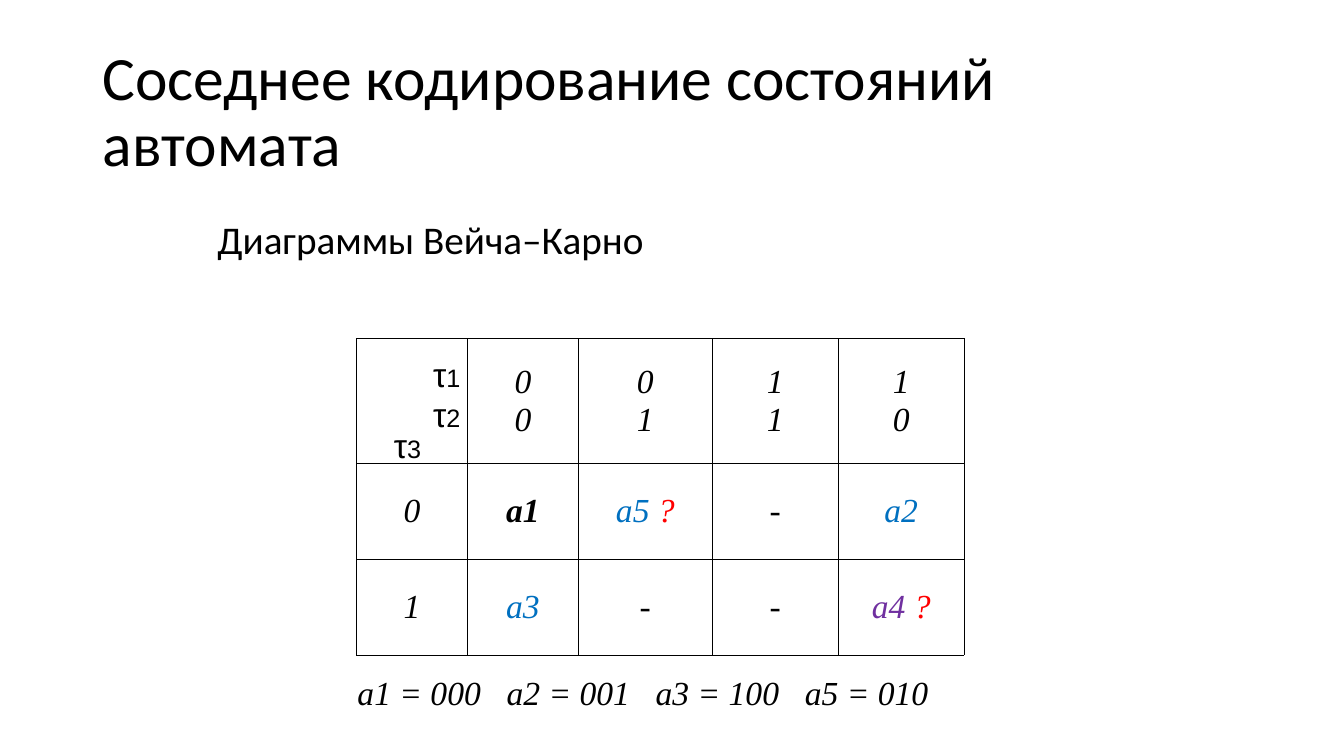
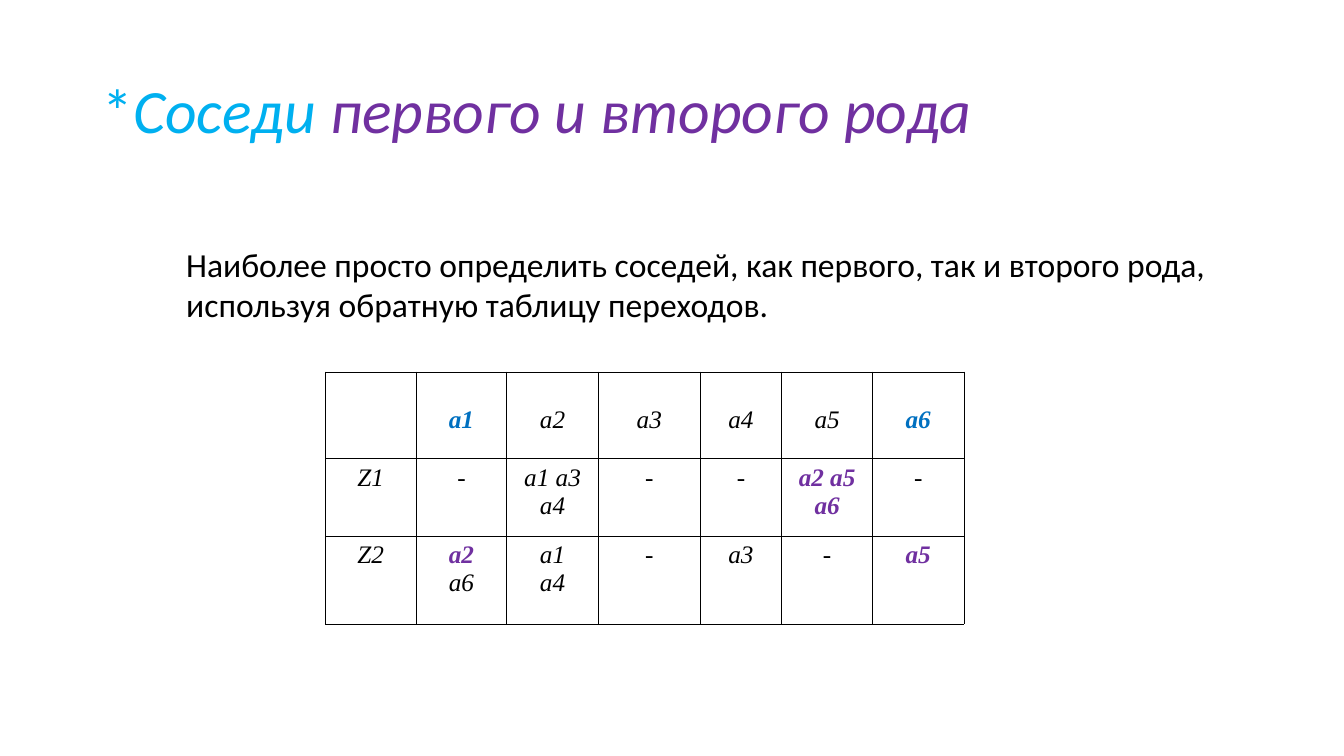
import lxml.etree
import pptx
import pptx.dml.color
import pptx.enum.text
import pptx.oxml.ns
import pptx.util

RGB = pptx.dml.color.RGBColor
BLACK = RGB(0x00, 0x00, 0x00)
BLUE = RGB(0x00, 0x70, 0xC0)
SKY = RGB(0x00, 0xB0, 0xF0)
VIOLET = RGB(0x70, 0x30, 0xA0)
RED = RGB(0xFF, 0x00, 0x00)
SANS, ARIAL, SERIF = "Calibri", "Arial", "Times New Roman"
MIDDLE = pptx.enum.text.MSO_ANCHOR.MIDDLE
TOP = pptx.enum.text.MSO_ANCHOR.TOP
CENTER = pptx.enum.text.PP_ALIGN.CENTER
LEFT = pptx.enum.text.PP_ALIGN.LEFT
SCALE = 9144
TITLE = (92, 40, 1150, 145)


def px(count):
    return pptx.util.Emu(count * SCALE)


def run(text, color=BLACK, bold=False, slant=False, size=None):
    return text, color, bold, slant, size


def math(text, color=BLACK, bold=False):
    return run(text, color, bold, True)


def write(frame, paras, face, size, align=LEFT, lead=None):
    for i, runs in enumerate(paras):
        para = frame.paragraphs[0] if i == 0 else frame.add_paragraph()
        para.alignment = align
        if lead:
            para.line_spacing = lead
        for text, color, bold, slant, own in runs:
            part = para.add_run()
            part.text = text
            font = part.font
            font.name = face
            font.size = pptx.util.Pt(own or size)
            font.bold, font.italic = bold, slant
            font.color.rgb = color


def label(slide, box, runs, face, size, lead=None, inset=(10, 5), anchor=TOP):
    frame = slide.shapes.add_textbox(*map(px, box)).text_frame
    frame.word_wrap = True
    frame.vertical_anchor = anchor
    frame.margin_left = frame.margin_right = px(inset[0])
    frame.margin_top = frame.margin_bottom = px(inset[1])
    write(frame, [runs], face, size, lead=lead)
    return frame


def title(slide, runs):
    label(slide, TITLE, runs, SANS, 44, 0.9, anchor=MIDDLE)


def border(cell):
    props = cell._tc.get_or_add_tcPr()
    name = pptx.oxml.ns.qn
    for side in ("a:lnL", "a:lnR", "a:lnT", "a:lnB"):
        line = lxml.etree.SubElement(props, name(side), w="5715")
        solid = lxml.etree.SubElement(line, name("a:solidFill"))
        lxml.etree.SubElement(solid, name("a:srgbClr"), val=str(BLACK))


def grid(slide, spot, cols, rows, cells, size, pad, anchor, head=5):
    box = (*spot, sum(cols), sum(rows))
    table = slide.shapes.add_table(len(rows), len(cols), *map(px, box)).table
    table.first_row = table.horz_banding = False
    for col, width in zip(table.columns, cols):
        col.width = px(width)
    for i, (row, height) in enumerate(zip(table.rows, rows)):
        row.height = px(height)
        for cell, paras in zip(row.cells, cells[i]):
            border(cell)
            cell.fill.background()
            cell.vertical_anchor = anchor
            cell.margin_left = cell.margin_right = px(pad)
            cell.margin_top = px(head if i == 0 else 5)
            cell.margin_bottom = px(5)
            write(cell.text_frame, paras, SERIF, size, CENTER)


def plain(*lines):
    return [[math(line)] for line in lines]


def tint(text, color, bold=False):
    return [[math(text, color, bold)]]


def codes(slide, x, y):
    cells = [
        [[], *(plain(*pair) for pair in ("00", "01", "11", "10"))],
        [plain("0"), tint("а1", BLACK, True),
         [[math("а5 ", BLUE), math("?", RED)]],
         plain("-"), tint("а2", BLUE)],
        [plain("1"), tint("а3", BLUE), plain("-"), plain("-"),
         [[math("а4", VIOLET), math(" ?", RED)]]],
    ]
    grid(slide, (x, y), (110, 110, 133, 125, 125), (124, 95, 95),
         cells, 24, 7, MIDDLE)
    for digit, left, top in (("1", 76, 15), ("2", 76, 55), ("3", 37, 86)):
        label(slide, (x + left, y + top, 31, 40),
              [run("τ"), run(digit, size=18)], ARIAL, 24, inset=(0, 0))


def legend(slide, box):
    items = ("a1 = 000", "a2 = 001", "a3 = 100", "a5 = 010")
    frame = label(slide, box, [math("\t".join(items))], SERIF, 24)
    props = frame.paragraphs[0]._p.get_or_add_pPr()
    tabs = lxml.etree.SubElement(props, pptx.oxml.ns.qn("a:tabLst"))
    for i in range(1, len(items)):
        lxml.etree.SubElement(tabs, pptx.oxml.ns.qn("a:tab"),
                              pos=str(px(148 * i)), algn="l")


def moves(slide, x, y):
    names = ("a1", "a2", "а3", "a4", "a5", "a6")
    ends = ("a1", "a6")
    cells = [
        [[], *(tint(name, BLUE, True) if name in ends else plain(name)
               for name in names)],
        [plain("Z1"), plain("-"), plain("а1 а3", "a4"), plain("-"),
         plain("-"), tint("a2 a5 a6", VIOLET, True), plain("-")],
        [plain("Z2"), tint("a2", VIOLET, True) + plain("a6"),
         plain("a1", "a4"), plain("-"), plain("a3"), plain("-"),
         tint("a5", VIOLET, True)],
    ]
    grid(slide, (x, y), (90, 90, 91, 101, 81, 90, 91), (86, 77, 87),
         cells, 18, 6, TOP, 34)


def coding(slide):
    title(slide, [run("Соседнее кодирование состояний автомата")])
    label(slide, (206, 214, 900, 67), [run("Диаграммы Вейча–Карно")],
          SANS, 28, 0.9)
    codes(slide, 354, 336)
    legend(slide, (345, 662, 644, 50))


def peers(slide):
    title(slide, [run("*", SKY), math("Соседи ", SKY),
                  math("первого и второго рода", VIOLET)])
    moves(slide, 323, 369)
    label(slide, (175, 237, 1048, 90),
          [run("Наиболее просто определить соседей, как первого, "
               "так и второго рода, используя обратную таблицу переходов.")],
          SANS, 24)


def main():
    deck = pptx.Presentation()
    deck.slide_width, deck.slide_height = px(1334), px(750)
    for build in (coding, peers):
        build(deck.slides.add_slide(deck.slide_layouts[6]))
    deck.save("out.pptx")


if __name__ == "__main__":
    main()
